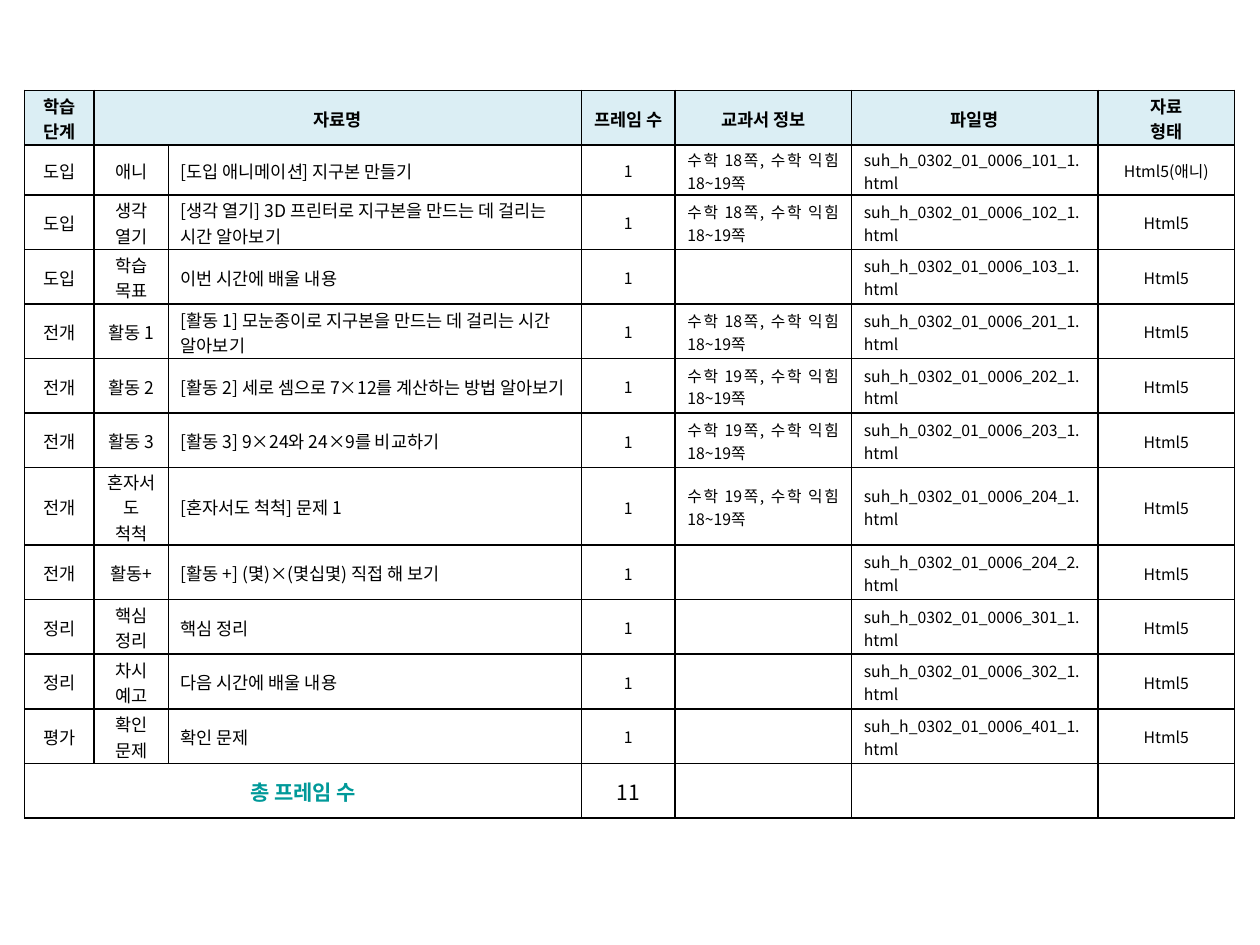
from typing import NamedTuple

from lxml.etree import SubElement
from pptx import Presentation
from pptx.dml.color import RGBColor
from pptx.enum.text import MSO_ANCHOR, PP_ALIGN
from pptx.oxml.ns import qn
from pptx.table import Table, _Cell
from pptx.util import Pt

FONT_NAME = "Noto Sans CJK KR"
BLACK = RGBColor(0x00, 0x00, 0x00)
TEAL = RGBColor(0x00, 0x99, 0x99)
PALE_BLUE = RGBColor(0xDB, 0xEE, 0xF4)

COLUMN_WIDTHS = (39.6, 42.5, 236.2, 53.3, 100.8, 141.1, 77.8)
ROW_HEIGHT = 31.2
SPECIAL_ROW_HEIGHTS = {1: 28.6, 7: 43.2}


class CellStyle(NamedTuple):
    size: float
    alignment: PP_ALIGN | None = PP_ALIGN.CENTER
    bold: bool = False
    color: RGBColor = BLACK
    fill: RGBColor | None = None


class Material(NamedTuple):
    stage: str
    label: str
    title: str
    textbook_page: int | None
    file_code: str
    file_type: str = "Html5"

    def texts(self) -> tuple[str, ...]:
        textbook = ""
        if self.textbook_page:
            textbook = f"수학 {self.textbook_page}쪽, 수학 익힘 18~19쪽"
        file_name = f"suh_h_0302_01_0006_{self.file_code}.html"
        return (self.stage, self.label, self.title, "1", textbook, file_name, self.file_type)


HEADER = CellStyle(10, bold=True, fill=PALE_BLUE)
LABEL = CellStyle(10)
TITLE = CellStyle(10, None)
DETAIL = CellStyle(9)
JUSTIFIED = CellStyle(9, PP_ALIGN.JUSTIFY)
TOTAL_LABEL = CellStyle(12, bold=True, color=TEAL)
TOTAL = CellStyle(12)

HEADER_TEXTS = ("학습 단계", "자료명", "", "프레임 수", "교과서 정보", "파일명", "자료\n형태")
TOTAL_TEXTS = ("총 프레임 수", "", "", "11", "", "", "")
MATERIAL_STYLES = (LABEL, LABEL, TITLE, DETAIL, JUSTIFIED, JUSTIFIED, DETAIL)
MATERIALS = (
    Material("도입", "애니", "[도입 애니메이션] 지구본 만들기", 18, "101_1", "Html5(애니)"),
    Material("도입", "생각 열기", "[생각 열기] 3D 프린터로 지구본을 만드는 데 걸리는 시간 알아보기", 18, "102_1"),
    Material("도입", "학습 목표", "이번 시간에 배울 내용", None, "103_1"),
    Material("전개", "활동 1", "[활동 1] 모눈종이로 지구본을 만드는 데 걸리는 시간 알아보기", 18, "201_1"),
    Material("전개", "활동 2", "[활동 2] 세로 셈으로 7×12를 계산하는 방법 알아보기", 19, "202_1"),
    Material("전개", "활동 3", "[활동 3] 9×24와 24×9를 비교하기", 19, "203_1"),
    Material("전개", "혼자서도 척척", "[혼자서도 척척] 문제 1", 19, "204_1"),
    Material("전개", "활동+", "[활동 +] (몇)×(몇십몇) 직접 해 보기", None, "204_2"),
    Material("정리", "핵심 정리", "핵심 정리", None, "301_1"),
    Material("정리", "차시 예고", "다음 시간에 배울 내용", None, "302_1"),
    Material("평가", "확인 문제", "확인 문제", None, "401_1"),
)


def add_borders(cell: _Cell) -> None:
    properties = cell._tc.get_or_add_tcPr()
    for side in ("a:lnL", "a:lnR", "a:lnT", "a:lnB"):
        line = SubElement(properties, qn(side), w=str(Pt(1)))
        fill = SubElement(line, qn("a:solidFill"))
        SubElement(fill, qn("a:srgbClr"), val=str(BLACK))


def write_cell(cell: _Cell, text: str, style: CellStyle) -> None:
    add_borders(cell)
    if style.fill is None:
        cell.fill.background()
    else:
        cell.fill.solid()
        cell.fill.fore_color.rgb = style.fill
    cell.vertical_anchor = MSO_ANCHOR.MIDDLE
    cell.margin_left = cell.margin_right = Pt(7.2)
    cell.margin_top, cell.margin_bottom = Pt(1), Pt(0)
    if not text:
        return
    cell.text_frame.text = text
    for paragraph in cell.text_frame.paragraphs:
        paragraph.alignment = style.alignment
        for run in paragraph.runs:
            run.font.size = Pt(style.size)
            run.font.bold = style.bold
            run.font.color.rgb = style.color
            run.font.name = FONT_NAME
            SubElement(run._r.get_or_add_rPr(), qn("a:ea"), typeface=FONT_NAME)


def write_row(table: Table, row: int, texts: tuple[str, ...], styles: tuple[CellStyle, ...]) -> None:
    for column, (text, style) in enumerate(zip(texts, styles)):
        write_cell(table.cell(row, column), text, style)


def main() -> None:
    presentation = Presentation()
    presentation.slide_width, presentation.slide_height = Pt(720), Pt(540)
    slide = presentation.slides.add_slide(presentation.slide_layouts[6])

    row_count = len(MATERIALS) + 2
    last_row = row_count - 1
    column_count = len(COLUMN_WIDTHS)
    heights = [SPECIAL_ROW_HEIGHTS.get(row, ROW_HEIGHT) for row in range(row_count)]
    shape = slide.shapes.add_table(
        row_count, column_count, Pt(14.1), Pt(51.6), Pt(sum(COLUMN_WIDTHS)), Pt(sum(heights))
    )
    table = shape.table
    table.first_row = table.horz_banding = False
    for column, width in zip(table.columns, COLUMN_WIDTHS):
        column.width = Pt(width)
    for row, height in zip(table.rows, heights):
        row.height = Pt(height)

    write_row(table, 0, HEADER_TEXTS, (HEADER,) * column_count)
    for row, material in enumerate(MATERIALS, start=1):
        write_row(table, row, material.texts(), MATERIAL_STYLES)
    write_row(table, last_row, TOTAL_TEXTS, (TOTAL_LABEL,) + (TOTAL,) * (column_count - 1))
    table.cell(0, 1).merge(table.cell(0, 2))
    table.cell(last_row, 0).merge(table.cell(last_row, 2))

    presentation.save("out.pptx")


if __name__ == "__main__":
    main()
